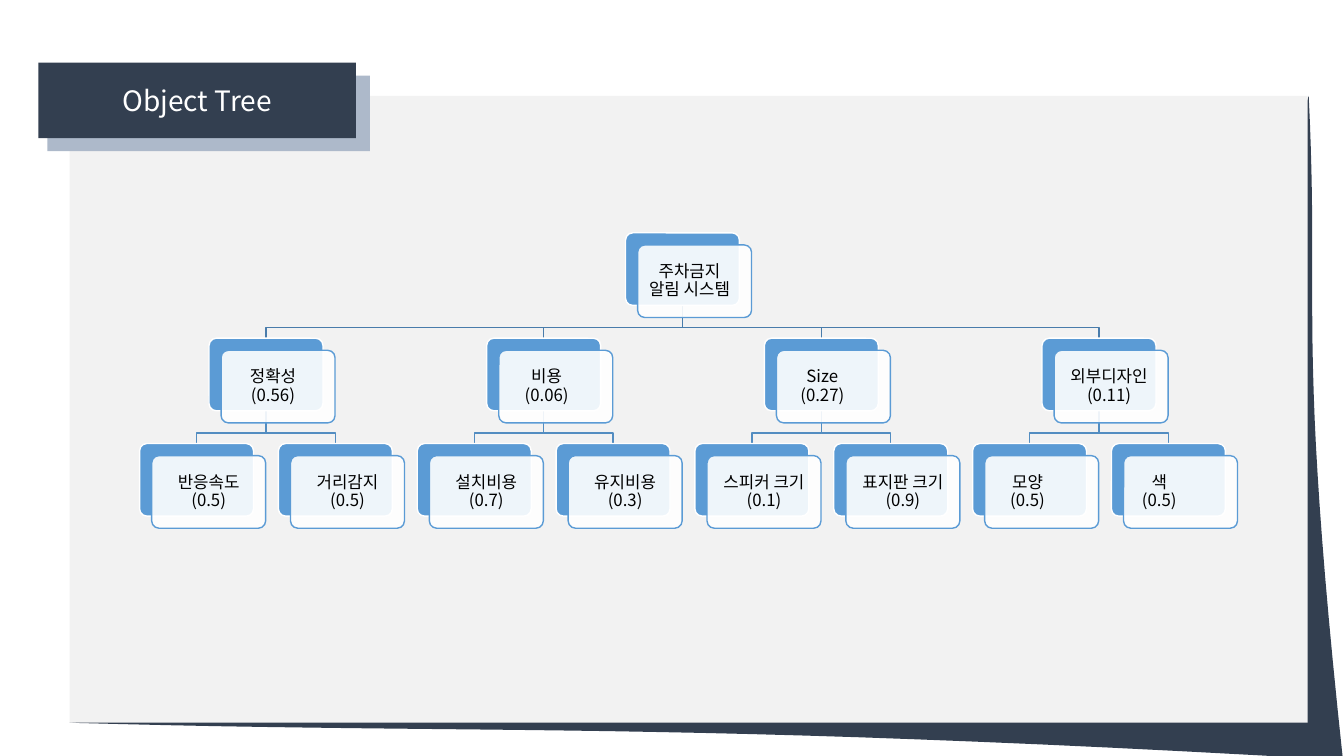
"""Builds the Object Tree slide: a titled panel with a three-level weighted hierarchy."""
from dataclasses import dataclass

from lxml.etree import SubElement
from pptx import Presentation
from pptx.dml.color import RGBColor
from pptx.enum.shapes import MSO_SHAPE as Shape
from pptx.enum.text import MSO_ANCHOR as Anchor, PP_ALIGN as Align
from pptx.oxml.ns import qn
from pptx.util import Inches, Pt

TITLE = "Object Tree"
ROOT = ("주차금지", "알림 시스템", 0.05)
BRANCHES = [
    (("정확성", "(0.56)", 0.05), [("반응속도", "(0.5)", 0), ("거리감지", "(0.5)", 0)]),
    (("비용", "(0.06)", 0.09), [("설치비용", "(0.7)", 0), ("유지비용", "(0.3)", 0)]),
    (("Size", "(0.27)", 0.11), [("스피커 크기", "(0.1)", 0), ("표지판 크기", "(0.9)", 0)]),
    (("외부디자인", "(0.11)", 0.02), [("모양", "(0.5)", 0.14), ("색", "(0.5)", 0.21)]),
]


@dataclass(frozen=True)
class Theme:
    font: str = "Noto Sans CJK KR"
    navy: str = "333F50"
    panel: str = "F2F2F2"
    haze: str = "ADB9CA"
    blue: str = "5B9BD5"
    white: str = "FFFFFF"
    black: str = "000000"
    upper_link: str = "497CAB"
    lower_link: str = "538DC1"
    title_size: int = 20
    card_size: int = 12


THEME = Theme()
WIDTH, HEIGHT = 13.33, 7.5
PANEL = (0.69, 0.95, 12.28, 6.22)
TITLE_BOX = (0.38, 0.62, 3.15, 0.75)
TITLE_SHADE = (0.47, 0.75, 3.2, 0.75)
CARD_W, CARD_H, OFFSET = 1.13, 0.72, 0.12
FIRST_CENTER, COLUMN = 1.95, 1.377
FIRST_TOP, ROW = 2.31, 1.045
LINK_BEND = 0.22
CURL_START, CURL_CORNER = (11.32, 6.35), (12.98, 0.95)
CURL_CURVES = [
    [(12.98, 0.95), (13.09, 3.15), (12.86, 3.25), (13.32, 7.54)],
    [(13.32, 7.54), (6.57, 7.15), (4.9, 7.29), (0.69, 7.17)],
]
CURVE_STEPS = 24


def color(code):
    return RGBColor.from_string(code)


def style(shape, fill=None, line=None):
    shape.shadow.inherit = False
    if fill:
        shape.fill.solid()
        shape.fill.fore_color.rgb = color(fill)
    else:
        shape.fill.background()
    if line:
        shape.line.color.rgb = color(line)
        shape.line.width = Pt(1)
    else:
        shape.line.fill.background()
    return shape


def add_box(page, kind, area, fill, line=None):
    return style(page.shapes.add_shape(kind, *map(Inches, area)), fill, line)


def add_outline(page, points, closed, fill=None, line=None):
    corners = [(Inches(x), Inches(y)) for x, y in points]
    builder = page.shapes.build_freeform(*corners[0])
    builder.add_line_segments(corners[1:], close=closed)
    return style(builder.convert_to_shape(), fill, line)


def curve_points(controls):
    for step in range(1, CURVE_STEPS + 1):
        t = step / CURVE_STEPS
        weights = ((1 - t) ** 3, 3 * t * (1 - t) ** 2, 3 * t * t * (1 - t), t ** 3)
        yield tuple(sum(w * point[axis] for w, point in zip(weights, controls))
                    for axis in (0, 1))


def write(box, lines, size, ink):
    frame = box.text_frame
    frame.word_wrap = True
    frame.vertical_anchor = Anchor.MIDDLE
    frame.text = "\n".join(lines)
    for para in frame.paragraphs:
        para.alignment = Align.CENTER
        for span in para.runs:
            span.font.size = Pt(size)
            span.font.color.rgb = color(ink)
            span.font.name = THEME.font
            east_asian = SubElement(span.font._element, qn("a:ea"))
            east_asian.set("typeface", THEME.font)
    return frame


def add_card(page, center, level, label):
    name, detail, shift = label
    left, top = center - CARD_W / 2, FIRST_TOP + level * ROW
    back = add_box(page, Shape.ROUNDED_RECTANGLE, (left, top, CARD_W, CARD_H),
                   THEME.blue, THEME.white)
    front = add_box(page, Shape.ROUNDED_RECTANGLE,
                    (left + OFFSET, top + OFFSET, CARD_W, CARD_H), THEME.white, THEME.blue)
    for card in (back, front):
        card.adjustments[0] = 0.1
    tint = front.fill._xPr.find(qn("a:solidFill"))[0]
    SubElement(tint, qn("a:alpha")).set("val", "90000")
    frame = write(front, (name, detail), THEME.card_size, THEME.black)
    frame.margin_left = frame.margin_right = Inches(0.07)
    frame.margin_top = frame.margin_bottom = Inches(0.07)
    for para in frame.paragraphs:
        para.line_spacing = 0.9
    frame.paragraphs[0]._p.get_or_add_pPr().set("marR", str(Inches(2 * shift)))


def add_link(page, parent, child, level, line):
    start = FIRST_TOP + level * ROW + CARD_H
    bend, end = start + LINK_BEND, FIRST_TOP + (level + 1) * ROW
    add_outline(page, [(parent, start), (parent, bend), (child, bend), (child, end)],
                False, line=line)


def add_frame(page):
    curl = [CURL_START, CURL_CORNER]
    for controls in CURL_CURVES:
        curl.extend(curve_points(controls))
    add_outline(page, curl, True, fill=THEME.navy)
    add_box(page, Shape.RECTANGLE, PANEL, THEME.panel)
    add_box(page, Shape.RECTANGLE, TITLE_SHADE, THEME.haze)
    title = add_box(page, Shape.RECTANGLE, TITLE_BOX, THEME.navy)
    write(title, [TITLE], THEME.title_size, THEME.white)


def add_tree(page):
    cards, links, branch_centers, column = [], [], [], 0
    for label, leaves in BRANCHES:
        centers = [FIRST_CENTER + (column + i) * COLUMN for i in range(len(leaves))]
        column += len(leaves)
        middle = sum(centers) / len(centers)
        branch_centers.append(middle)
        cards.append((middle, 1, label))
        cards += [(center, 2, leaf) for center, leaf in zip(centers, leaves)]
        links += [(middle, center, 1, THEME.lower_link) for center in centers]
    root_center = sum(branch_centers) / len(branch_centers)
    cards.insert(0, (root_center, 0, ROOT))
    links += [(root_center, center, 0, THEME.upper_link) for center in branch_centers]
    for link in links:
        add_link(page, *link)
    for card in cards:
        add_card(page, *card)


def main():
    deck = Presentation()
    deck.slide_width, deck.slide_height = Inches(WIDTH), Inches(HEIGHT)
    page = deck.slides.add_slide(deck.slide_layouts[6])
    add_frame(page)
    add_tree(page)
    deck.save("out.pptx")


if __name__ == "__main__":
    main()
